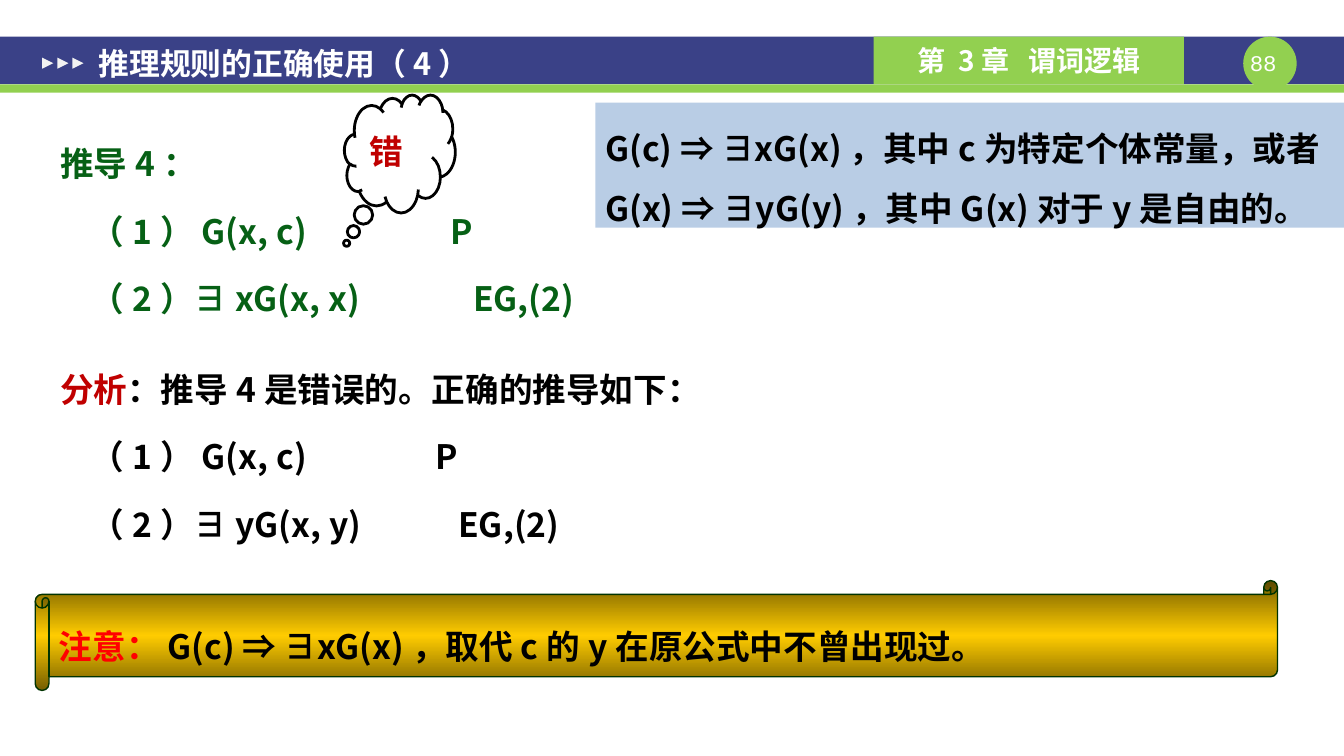
from copy import deepcopy
from dataclasses import dataclass

from pptx import Presentation, util as u
from pptx.dml.color import RGBColor
from pptx.enum import shapes, text
from pptx.oxml import ns, xmlchemy


@dataclass(frozen=True)
class Theme:
    navy: str = "3A4187"
    lime: str = "92D050"
    white: str = "FFFFFF"
    arrow: str = "F2F2F2"
    black: str = "000000"
    green: str = "066015"
    crimson: str = "C00000"
    red: str = "FF0000"
    pale_blue: str = "B9CDE5"
    scroll_edge: str = "003300"
    scroll_dark: str = "765E00"
    scroll_light: str = "FFCC00"
    cjk: str = "Noto Sans CJK SC"
    latin: str = "Arial"
    mono: str = "Courier New"
    body_size: int = 24
    title_size: int = 22
    chapter_size: int = 20
    number_size: int = 16


THEME = Theme()
SHAPE = shapes.MSO_SHAPE
MIDDLE, TOP = text.MSO_ANCHOR.MIDDLE, text.MSO_ANCHOR.TOP
LEFT, CENTER = text.PP_ALIGN.LEFT, text.PP_ALIGN.CENTER


def rgb(color):
    return RGBColor.from_string(color)


def points(box):
    return [u.Pt(length) for length in box]


def add_panel(slide, kind, box, fill=None, line=None, width=1):
    panel = slide.shapes.add_shape(kind, *points(box))
    panel.shadow.inherit = False
    if fill:
        panel.fill.solid()
        panel.fill.fore_color.rgb = rgb(fill)
    if line:
        panel.line.color.rgb = rgb(line)
        panel.line.width = u.Pt(width)
    else:
        panel.line.fill.background()
    return panel


def set_insets(frame, horizontal, vertical):
    frame.margin_left = frame.margin_right = u.Pt(horizontal)
    frame.margin_top = frame.margin_bottom = u.Pt(vertical)


def add_tabs(paragraph, stops):
    tab_list = xmlchemy.OxmlElement("a:tabLst")
    for stop in stops:
        tab = xmlchemy.OxmlElement("a:tab")
        tab.set("pos", str(u.Pt(stop)))
        tab.set("algn", "l")
        tab_list.append(tab)
    paragraph._p.get_or_add_pPr().append(tab_list)


def style_run(run, color, size, face, bold):
    run.font.size, run.font.name, run.font.bold = u.Pt(size), face, bold
    run.font.color.rgb = rgb(color)
    east_asian = xmlchemy.OxmlElement("a:ea")
    east_asian.set("typeface", face)
    run.font._element.find(ns.qn("a:latin")).addnext(east_asian)


def write(holder, lines, size=THEME.body_size, face=THEME.cjk, bold=True, align=LEFT,
          anchor=TOP, spacing=None, before=0, tabs=()):
    """Fill a shape with lines, each a list of (words, color); tabs holds stops per line."""
    frame = holder.text_frame
    frame.word_wrap = True
    frame.vertical_anchor = anchor
    for index, pieces in enumerate(lines):
        paragraph = frame.add_paragraph() if index else frame.paragraphs[0]
        paragraph.alignment = align
        if spacing:
            paragraph.line_spacing = spacing
        if index and before:
            paragraph.space_before = u.Pt(before)
        if tabs and tabs[index]:
            add_tabs(paragraph, tabs[index])
        for words, color in pieces:
            run = paragraph.add_run()
            run.text = words
            style_run(run, color, size, face, bold)
    return frame


def header(slide, box, title, chapter, number):
    left, top, width, height = box
    band = 34
    add_panel(slide, SHAPE.RECTANGLE, (left, top, width, band), THEME.navy)
    add_panel(slide, SHAPE.RECTANGLE, (left, top + band, width, height - band), THEME.lime)

    badge = 38.2
    badge_left = left + width - 72
    add_panel(slide, SHAPE.OVAL, (badge_left, top, badge, badge), THEME.lime)
    page = slide.shapes.add_textbox(*points((badge_left - 4.8, top + 8.6, badge, 19.4)))
    set_insets(page.text_frame, 0, 0)
    write(page, [[(number, THEME.white)]], THEME.number_size, THEME.mono, False, CENTER)

    tab = add_panel(slide, SHAPE.RECTANGLE,
                    (left + width - 336.2, top, 221.8, band), THEME.lime)
    first, second = chapter
    frame = write(tab, [[(first, THEME.white), (" ", THEME.white), (second, THEME.white)]],
                  THEME.chapter_size, align=CENTER, anchor=MIDDLE)
    frame.paragraphs[0].runs[1].font._element.set("spc", "900")

    for step in range(3):
        arrow = add_panel(slide, SHAPE.ISOSCELES_TRIANGLE,
                          (left + 30.2 + 10.8 * step, top + 15, 7.9, 7.9), THEME.arrow)
        arrow.rotation = 90

    heading = slide.shapes.add_textbox(*points((left + 61.2, top + 2.8, 417.6, 31.7)))
    set_insets(heading.text_frame, 9.4, 5)
    write(heading, [[(title, THEME.white)]], THEME.title_size, anchor=MIDDLE)


def derivation(slide, box, heading, steps, color):
    """Heading line, then indented steps of (formula, reason, reason's tab stop)."""
    block = slide.shapes.add_textbox(*points(box))
    lines = [heading] + [[(f"\t{formula}\t{reason}", color)] for formula, reason, _ in steps]
    tabs = [()] + [(21.6, stop) for _, _, stop in steps]
    write(block, lines, spacing=1.5, before=5, tabs=tabs)


def note_scroll(slide, box, label, note):
    scroll = add_panel(slide, SHAPE.HORIZONTAL_SCROLL, box, line=THEME.scroll_edge)
    scroll.fill.gradient()
    scroll.fill.gradient_angle = 90
    stop_list = scroll._element.spPr.find(".//" + ns.qn("a:gsLst"))
    stop_list.append(deepcopy(stop_list[-1]))
    colors = THEME.scroll_dark, THEME.scroll_light, THEME.scroll_dark
    for index, (stop, color) in enumerate(zip(scroll.fill.gradient_stops, colors)):
        stop.position = index / 2
        stop.color.rgb = rgb(color)
    write(scroll, [[(label, THEME.red), (note, THEME.black)]], anchor=MIDDLE, spacing=1.5)


def rule_panel(slide, box, rules):
    panel = add_panel(slide, SHAPE.RECTANGLE, box, THEME.pale_blue)
    write(panel, [[(rule, THEME.black)] for rule in rules], spacing=1.5)


def verdict_cloud(slide, box, verdict):
    cloud = add_panel(slide, SHAPE.CLOUD_CALLOUT, box, THEME.white, THEME.black, 2)
    cloud.adjustments[0], cloud.adjustments[1] = -0.48, 0.76
    write(cloud, [[(verdict, THEME.crimson)]], face=THEME.latin, anchor=MIDDLE)


def main():
    deck = Presentation()
    deck.slide_width, deck.slide_height = u.Pt(960.5), u.Pt(540)
    slide = deck.slides.add_slide(deck.slide_layouts[6])
    header(slide, (0, 26.2, 960.5, 40), "推理规则的正确使用（4）", ("第 3章", "谓词逻辑"), "88")
    derivation(slide, (36, 84.2, 876, 142), [("推导4：", THEME.green)],
               [("（1）G(x, c)", "P", 279), ("（2）∃xG(x, x)", "EG,(2)", 295)], THEME.green)
    derivation(slide, (36, 245.5, 756, 142),
               [("分析", THEME.crimson), ("：推导4是错误的。正确的推导如下：", THEME.black)],
               [("（1）G(x, c)", "P", 268), ("（2）∃yG(x, y)", "EG,(2)", 284.5)], THEME.black)
    note_scroll(slide, (25.2, 414.7, 887.8, 78.5), "注意：",
                "G(c) ⇒ ∃xG(x)，取代c的y在原公式中不曾出现过。")
    rule_panel(slide, (425.5, 73.4, 535, 89.3),
               ["G(c) ⇒ ∃xG(x)，其中c为特定个体常量，或者",
                "G(x) ⇒ ∃yG(y)，其中G(x)对于y是自由的。"])
    verdict_cloud(slide, (246.2, 67.7, 79.2, 84.2), "错")
    deck.save("out.pptx")


if __name__ == "__main__":
    main()
